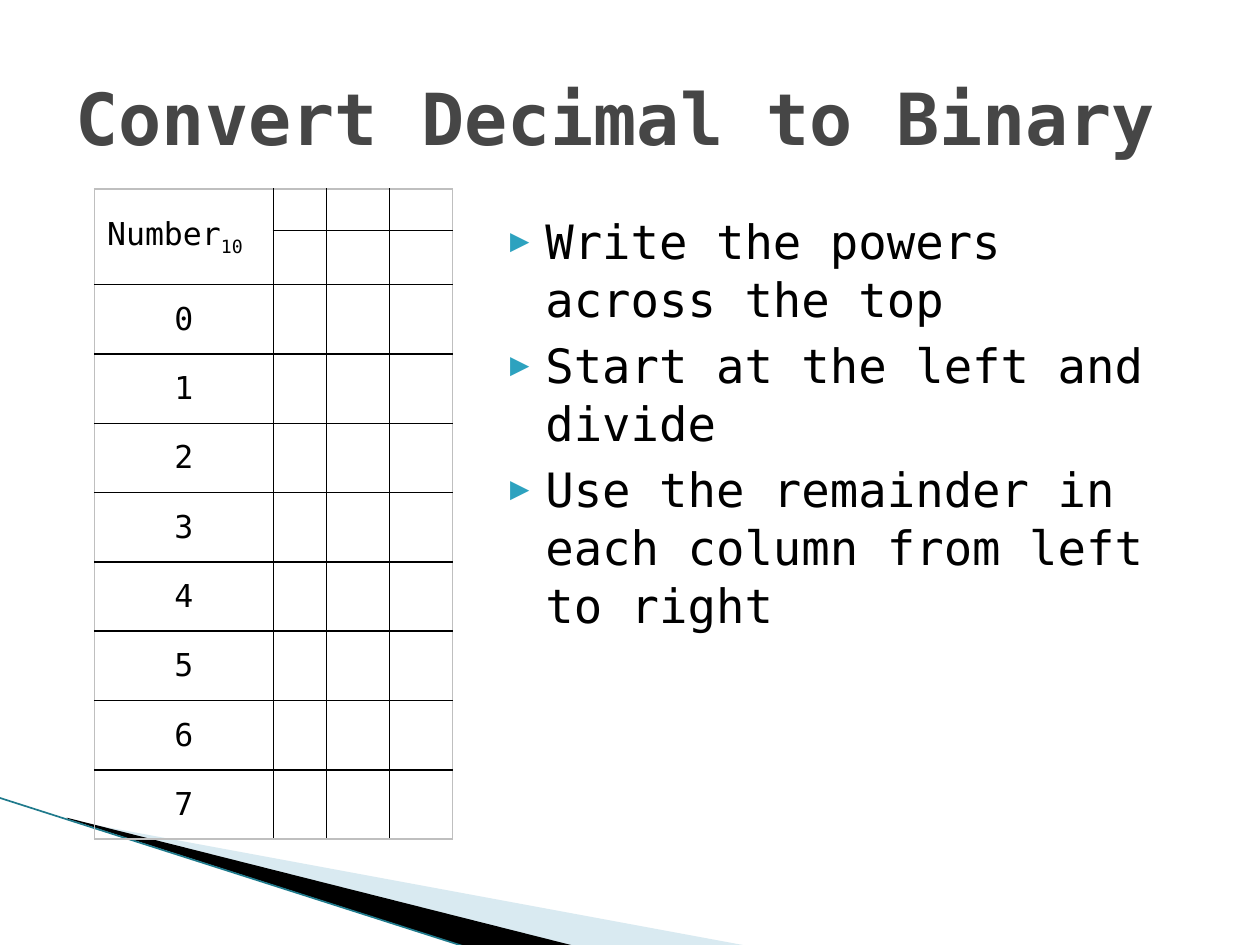
from dataclasses import dataclass

from lxml.etree import SubElement
from pptx import Presentation
from pptx.dml.color import RGBColor
from pptx.enum.shapes import MSO_CONNECTOR as Connector
from pptx.enum.text import MSO_ANCHOR as Anchor, PP_ALIGN as Align
from pptx.oxml import parse_xml
from pptx.oxml.ns import nsdecls, qn
from pptx.util import Inches, Pt


@dataclass(frozen=True)
class Theme:
    font: str = "DejaVu Sans Mono"
    ink: str = "000000"
    heading: str = "464646"
    accent: str = "2DA2BF"
    sweep: str = "A0CBDC"
    edge: str = "1F7A8C"
    frame: str = "BFBFBF"
    title_size: int = 41
    body_size: int = 27
    cell_size: int = 18


class SlideBuilder:
    def __init__(self, page, theme):
        self.page = page
        self.theme = theme

    def style(self, para, size, color, bold=False):
        for span in para.runs:
            span.font.name = self.theme.font
            span.font.size = Pt(size)
            span.font.bold = bold
            span.font.color.rgb = RGBColor.from_string(color)

    def title(self, text, box):
        title = self.page.shapes.title
        title.left, title.top, title.width, title.height = map(Inches, box)
        title.text_frame.text = text
        title.text_frame.vertical_anchor = Anchor.MIDDLE
        para = title.text_frame.paragraphs[0]
        para.alignment = Align.LEFT
        self.style(para, self.theme.title_size, self.theme.heading, True)

    def wedge(self, points, color, alpha=100):
        corners = [(Inches(x), Inches(y)) for x, y in points]
        builder = self.page.shapes.build_freeform(*corners[0])
        builder.add_line_segments(corners[1:], close=True)
        wedge = builder.convert_to_shape()
        wedge.shadow.inherit = False
        wedge.fill.solid()
        wedge.fill.fore_color.rgb = RGBColor.from_string(color)
        wedge.line.fill.background()
        if alpha < 100:
            tint = wedge._element.spPr.find(qn("a:solidFill"))[0]
            SubElement(tint, qn("a:alpha"), val=str(alpha * 1000))

    def line(self, start, end, color, width):
        line = self.page.shapes.add_connector(
            Connector.STRAIGHT, *map(Inches, start + end))
        line.line.color.rgb = RGBColor.from_string(color)
        line.line.width = Pt(width)
        SubElement(line._element.spPr, qn("a:effectLst"))

    def bullets(self, items, box):
        frame = self.page.shapes.add_textbox(*map(Inches, box)).text_frame
        frame.word_wrap = True
        frame.text = "\n".join(items)
        for para in frame.paragraphs:
            para.space_before = Pt(4)
            para.line_spacing = 1.03
            self.style(para, self.theme.body_size, self.theme.ink)
            props = para._p.get_or_add_pPr()
            props.set("marL", str(Inches(0.4)))
            props.set("indent", str(Inches(-0.28)))
            color = SubElement(props, qn("a:buClr"))
            SubElement(color, qn("a:srgbClr"), val=self.theme.accent)
            SubElement(props, qn("a:buSzPct"), val="68000")
            SubElement(props, qn("a:buFont"), typeface=self.theme.font)
            SubElement(props, qn("a:buChar"), char="▶")

    def borders(self, cell, outer):
        props = cell._tc.get_or_add_tcPr()
        for index, side in enumerate("LRTB"):
            color = self.theme.frame if side in outer else self.theme.ink
            props.insert(index, parse_xml(
                f'<a:ln{side} {nsdecls("a")} w="{Pt(1)}"><a:solidFill>'
                f'<a:srgbClr val="{color}"/></a:solidFill></a:ln{side}>'))

    def table(self, place, widths, heights):
        size = (sum(widths), sum(heights))
        table = self.page.shapes.add_table(
            len(heights), len(widths), *map(Inches, place + size)).table
        table.first_row = table.horz_banding = False
        for column, width in zip(table.columns, widths):
            column.width = Inches(width)
        for row, height in zip(table.rows, heights):
            row.height = Inches(height)
        for r in range(len(heights)):
            for c in range(len(widths)):
                cell = table.cell(r, c)
                cell.fill.background()
                cell.margin_top = cell.margin_bottom = 0
                cell.vertical_anchor = Anchor.MIDDLE
                edges = {"L": c == 0, "R": c == len(widths) - 1,
                         "T": r == 0, "B": r == len(heights) - 1}
                self.borders(cell, [side for side in edges if edges[side]])
        return table

    def cell_text(self, cell, text, align=Align.CENTER, subscript=""):
        cell.text_frame.text = text
        para = cell.text_frame.paragraphs[0]
        para.alignment = align
        if subscript:
            span = para.add_run()
            span.text = subscript
            span._r.get_or_add_rPr().set("baseline", "-25000")
        self.style(para, self.theme.cell_size, self.theme.ink)


def main():
    deck = Presentation()
    deck.slide_width, deck.slide_height = Inches(10), Inches(7.5)
    theme = Theme()
    page = deck.slides.add_slide(deck.slide_layouts[5])
    builder = SlideBuilder(page, theme)

    builder.wedge([(0.55, 6.51), (5.95, 7.51), (4.56, 7.51), (0.55, 6.5)],
                  theme.sweep, 40)
    builder.wedge([(0.53, 6.49), (4.57, 7.51), (3.72, 7.52), (0.54, 6.5)],
                  theme.ink)
    builder.line((-0.01, 6.33), (3.71, 7.52), theme.edge, 0.95)

    builder.title("Convert Decimal to Binary", (0.5, 0.3, 9, 1.25))
    builder.bullets(["Write the powers across the top",
                     "Start at the left and divide",
                     "Use the remainder in each column from left to right"],
                    (3.83, 1.62, 5.67, 4.95))

    numbers = range(8)
    table = builder.table((0.75, 1.5), [1.42, 0.42, 0.5, 0.5],
                          [0.33, 0.43] + [0.55] * len(numbers))
    header = table.cell(0, 0)
    header.merge(table.cell(1, 0))
    builder.cell_text(header, "Number", Align.LEFT, "10")
    for number in numbers:
        builder.cell_text(table.cell(number + 2, 0), str(number))

    deck.save("out.pptx")


if __name__ == "__main__":
    main()
